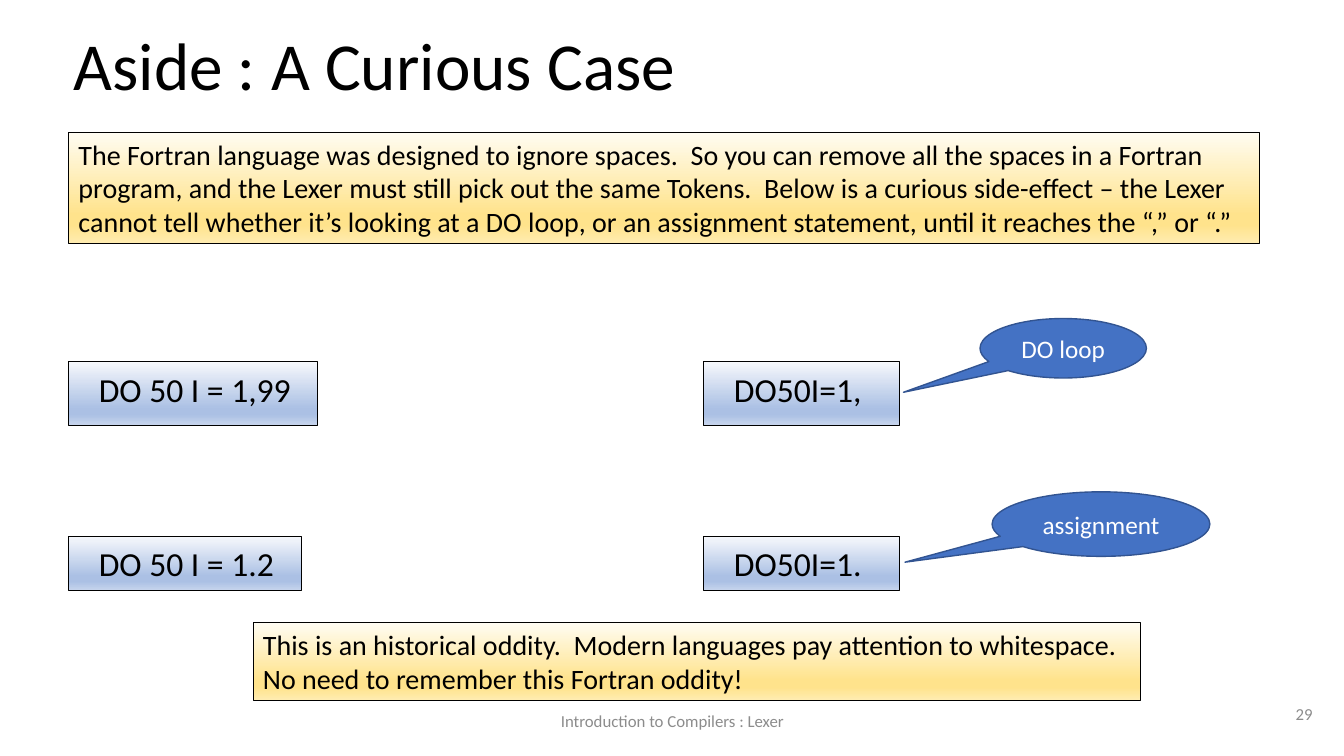
import pptx
import pptx.dml.color
import pptx.enum.shapes
import pptx.enum.text
import pptx.oxml
import pptx.oxml.ns
import pptx.util
from dataclasses import dataclass

SHAPE = pptx.enum.shapes.MSO_SHAPE
ALIGN = pptx.enum.text.PP_ALIGN
ANCHOR = pptx.enum.text.MSO_ANCHOR


def px(n):
    """100 px to the inch."""
    return pptx.util.Emu(n * 9144)


@dataclass(frozen=True)
class Theme:
    font: str = "Calibri"
    ink: str = "000000"
    white: str = "FFFFFF"
    grey: str = "8C8C8C"
    callout: str = "4472C4"
    callout_line: str = "325491"
    # Gradient colours at each of the stops
    stops: tuple = (0, 74, 83, 100)
    blue: tuple = ("F6F8FC", "ABC0E4", "ABC0E4", "C7D5ED")
    yellow: tuple = ("FFFCF2", "FFE38C", "FFE38C", "FFECB2")
    title_size: int = 48
    code_size: int = 24
    note_size: int = 20
    callout_size: int = 18
    small_size: int = 12


def rgb(color):
    return pptx.dml.color.RGBColor.from_string(color)


def write(tf, text, *, font, size, color, align=ALIGN.LEFT, anchor=ANCHOR.TOP,
          inset=(10, 5), indent=0, spacing=None):
    """Fill a text frame, one paragraph for each line of text."""
    tf.word_wrap = True
    tf.auto_size = pptx.enum.text.MSO_AUTO_SIZE.NONE
    tf.vertical_anchor = anchor
    tf.margin_left = tf.margin_right = px(inset[0])
    tf.margin_top = tf.margin_bottom = px(inset[1])
    for i, line in enumerate(text.split("\n")):
        p = tf.paragraphs[0] if i == 0 else tf.add_paragraph()
        p.alignment = align
        if spacing:
            p.line_spacing = spacing
        if indent:
            pPr = p._p.get_or_add_pPr()
            pPr.set("marL", str(px(indent)))
            pPr.set("indent", "0")
        r = p.add_run()
        r.text = line
        r.font.name = font
        r.font.size = pptx.util.Pt(size)
        r.font.color.rgb = rgb(color)


class Deck:
    def __init__(self, theme):
        self.theme = theme
        self.prs = pptx.Presentation()
        self.prs.slide_width, self.prs.slide_height = px(1333), px(750)
        self.s = self.prs.slides.add_slide(self.prs.slide_layouts[5])

    def title(self, text, x, y, w, h):
        sp = self.s.shapes.title
        sp.left, sp.top, sp.width, sp.height = map(px, (x, y, w, h))
        write(sp.text_frame, text, font=self.theme.font, size=self.theme.title_size,
              color=self.theme.ink, anchor=ANCHOR.MIDDLE, inset=(13, 7), spacing=0.9)

    def label(self, text, x, y, w, h, **fmt):
        sp = self.s.shapes.add_textbox(*map(px, (x, y, w, h)))
        write(sp.text_frame, text, font=self.theme.font, size=self.theme.small_size,
              color=self.theme.grey, anchor=ANCHOR.MIDDLE, **fmt)

    def shape(self, kind, x, y, w, h, line, width):
        sp = self.s.shapes.add_shape(kind, *map(px, (x, y, w, h)))
        sp.shadow.inherit = False
        sp.line.color.rgb = rgb(line)
        sp.line.width = pptx.util.Pt(width)
        return sp

    def box(self, text, x, y, w, h, colors, size, **fmt):
        sp = self.shape(SHAPE.RECTANGLE, x, y, w, h, self.theme.ink, 0.75)
        self.gradient(sp, colors)
        write(sp.text_frame, text, font=self.theme.font, size=size,
              color=self.theme.ink, **fmt)

    def gradient(self, sp, colors):
        """Top-to-bottom gradient with the theme's stops."""
        sp.fill.gradient()
        grad = sp._element.spPr.find(pptx.oxml.ns.qn("a:gradFill"))
        stops = "".join(
            f'<a:gs pos="{pos * 1000}"><a:srgbClr val="{color}"/></a:gs>'
            for pos, color in zip(self.theme.stops, colors))
        for child in list(grad):
            grad.remove(child)
        ns = pptx.oxml.ns.nsdecls("a")
        grad.append(pptx.oxml.parse_xml(f"<a:gsLst {ns}>{stops}</a:gsLst>"))
        grad.append(pptx.oxml.parse_xml(f'<a:lin {ns} ang="5400000" scaled="0"/>'))

    def code(self, text, x, y, w, h):
        self.box(text, x, y, w, h, self.theme.blue, self.theme.code_size,
                 inset=(13, 7), indent=17)

    def note(self, text, x, y, w, h):
        self.box(text, x, y, w, h, self.theme.yellow, self.theme.note_size)

    def callout(self, text, x, y, w, h, tip):
        sp = self.shape(SHAPE.OVAL_CALLOUT, x, y, w, h, self.theme.callout_line, 1)
        sp.fill.solid()
        sp.fill.fore_color.rgb = rgb(self.theme.callout)
        sp.adjustments[0], sp.adjustments[1] = tip
        write(sp.text_frame, text, font=self.theme.font, size=self.theme.callout_size,
              color=self.theme.white, align=ALIGN.CENTER, anchor=ANCHOR.MIDDLE)


def main():
    deck = Deck(Theme())
    deck.title("Aside : A Curious Case", 60, 37, 978, 63)

    # Explanation
    deck.note("The Fortran language was designed to ignore spaces.  So you can remove all "
              "the spaces in a Fortran program, and the Lexer must still pick out the same "
              "Tokens.  Below is a curious side-effect – the Lexer cannot tell whether it’s "
              "looking at a DO loop, or an assignment statement, until it reaches the "
              "“,” or “.”", 68, 131, 1181, 111)

    # Statements on the left, what the Lexer has read on the right
    for y, h, statement, w, prefix in (
            (359, 63, "DO 50 I = 1,99", 247, "DO50I=1,"),
            (532, 54, "DO 50 I = 1.2", 231, "DO50I=1.")):
        deck.code(statement, 68, y, w, h)
        deck.code(prefix, 698, y, 194, h)

    # Verdicts
    deck.callout("DO loop", 972, 316, 165, 59, (-0.96, 0.74))
    deck.callout("assignment", 984, 488, 216, 64, (-0.9, 0.59))

    # Closing remark
    deck.note("This is an historical oddity.  Modern languages pay attention to whitespace.\n"
              "No need to remember this Fortran oddity!", 251, 618, 880, 77)

    # Footer and slide number
    deck.label("Introduction to Compilers : Lexer", 442, 695, 450, 40, align=ALIGN.CENTER)
    deck.label("29", 1235, 680, 80, 57, align=ALIGN.RIGHT, inset=(13, 7))

    deck.prs.save("out.pptx")


if __name__ == "__main__":
    main()
